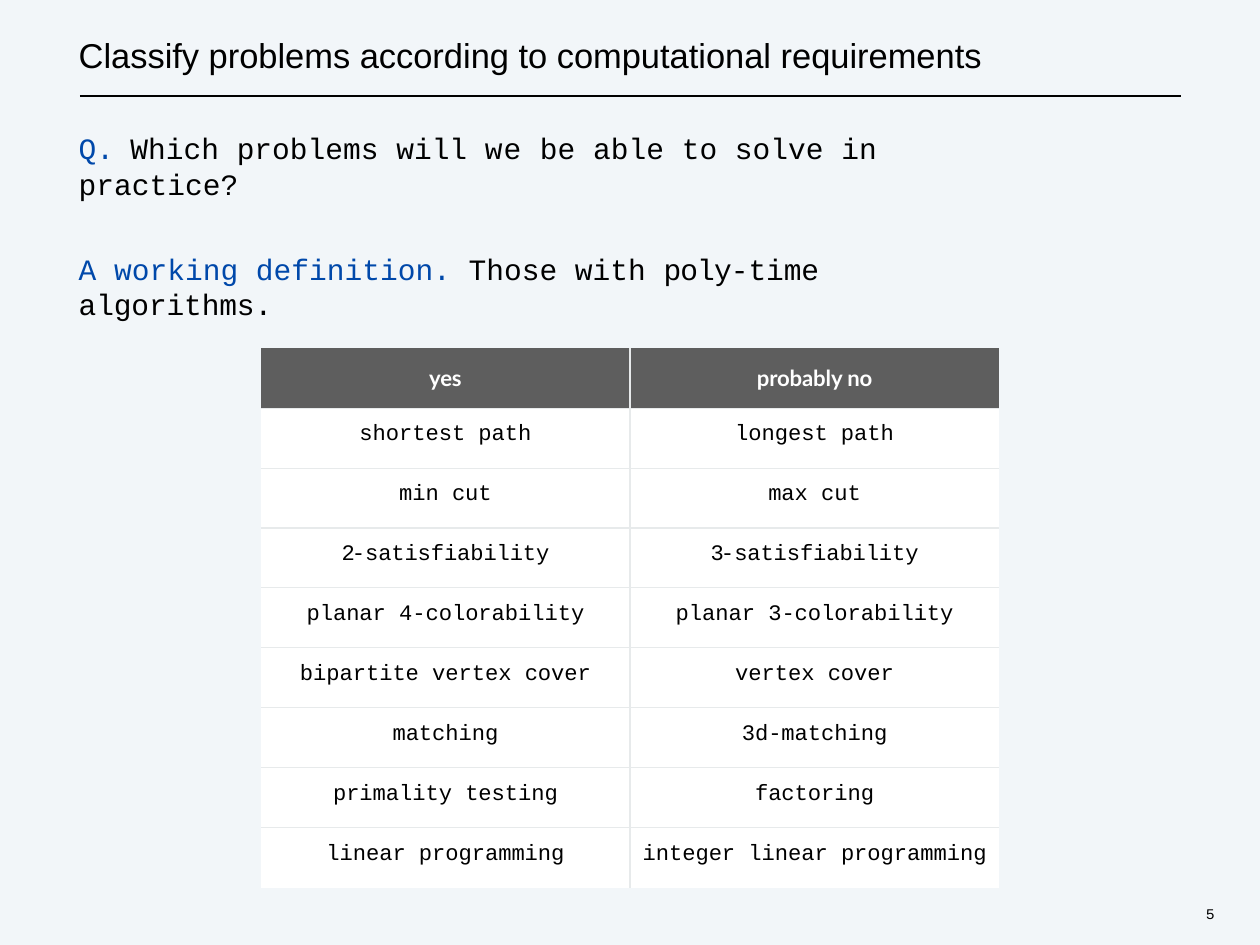
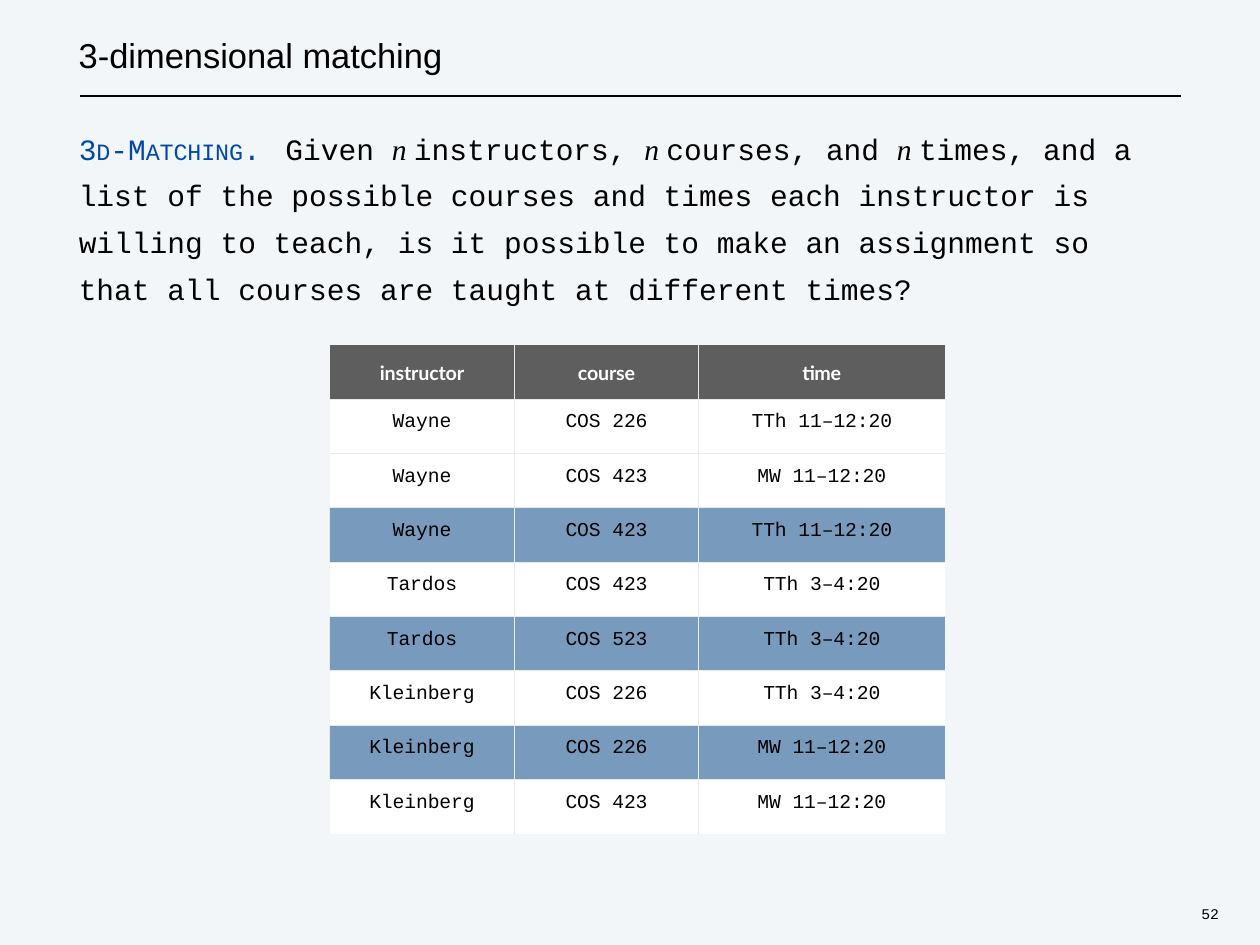
import pptx
import pptx.dml.color
import pptx.enum.shapes
import pptx.enum.text
import pptx.oxml.ns
import pptx.util
import lxml.etree

Pt = pptx.util.Pt
qn = pptx.oxml.ns.qn
ALIGN = pptx.enum.text.PP_ALIGN

WIDTH, HEIGHT = 1024, 768
PAPER, INK, ACCENT = "F2F6F9", "000000", "0048AA"
HEADER, CELL, CHOSEN, GRID, WHITE = "5E5E5E", "FFFFFF", "003F83", "E7EAEB", "FFFFFF"
SANS, MONO, SERIF, HEAD = "Arial", "Courier New", "Times New Roman", "Lato"


def color(value):
    return pptx.dml.color.RGBColor.from_string(value)


def fill_with(target, value):
    target.fill.solid()
    target.fill.fore_color.rgb = color(value)


def add_text(paragraph, text, size=24, ink=INK, font=MONO, bold=False, italic=False, spacing=0):
    run = paragraph.add_run()
    run.text = text
    run.font.size = Pt(size)
    run.font.name = font
    run.font.bold = bold
    run.font.italic = italic
    run.font.color.rgb = color(ink)
    if spacing:
        run.font._element.set("spc", str(round(spacing * 100)))


def add_box(slide, left, top, width, height):
    frame = slide.shapes.add_textbox(Pt(left), Pt(top), Pt(width), Pt(height)).text_frame
    frame.word_wrap = True
    frame.margin_left = frame.margin_right = frame.margin_top = frame.margin_bottom = 0
    return frame


def add_frame(deck, title, number):
    slide = deck.slides.add_slide(deck.slide_layouts[6])
    fill_with(slide.background, PAPER)
    rule = slide.shapes.add_connector(
        pptx.enum.shapes.MSO_CONNECTOR.STRAIGHT, Pt(65), Pt(78), Pt(960), Pt(78))
    rule.line.color.rgb = color(INK)
    rule.line.width = Pt(1.5)
    lxml.etree.SubElement(rule._element.spPr, qn("a:effectLst"))
    heading = add_box(slide, 64, 28, 759, 42)
    add_text(heading.paragraphs[0], title, size=28, font=SANS)
    folio = add_box(slide, 972, 735, 23, 17).paragraphs[0]
    folio.alignment = ALIGN.CENTER
    add_text(folio, number, size=12, spacing=-0.2)
    return slide


def add_statement(slide, box, paragraphs, tab, line_spacing=None, gap=0):
    frame = add_box(slide, *box)
    for index, runs in enumerate(paragraphs):
        paragraph = frame.add_paragraph() if index else frame.paragraphs[0]
        if index:
            paragraph.space_before = Pt(gap)
        if line_spacing:
            paragraph.line_spacing = line_spacing
        tabs = lxml.etree.SubElement(paragraph._p.get_or_add_pPr(), qn("a:tabLst"))
        lxml.etree.SubElement(tabs, qn("a:tab"), pos=str(Pt(tab)), algn="l")
        for text, style in runs:
            add_text(paragraph, text, **style)


def set_borders(cell, inner):
    properties = cell._tc.get_or_add_tcPr()
    for place, side in enumerate("LRTB"):
        line = lxml.etree.Element(qn("a:ln" + side), w=str(Pt(1)))
        properties.insert(place, line)
        if side in inner:
            paint = lxml.etree.SubElement(line, qn("a:solidFill"))
            lxml.etree.SubElement(paint, qn("a:srgbClr"), val=GRID)
        else:
            lxml.etree.SubElement(line, qn("a:noFill"))


def add_grid(slide, left, top, widths, row_height, rows, size, inset, chosen=()):
    last_row, last_column = len(rows) - 1, len(widths) - 1
    table = slide.shapes.add_table(
        len(rows), len(widths), Pt(left), Pt(top),
        Pt(sum(widths)), Pt(row_height * len(rows))).table
    table.horz_banding = False
    for column, width in zip(table.columns, widths):
        column.width = Pt(width)
    for r, entries in enumerate(rows):
        table.rows[r].height = Pt(row_height)
        for c, entry in enumerate(entries):
            cell = table.cell(r, c)
            cell.margin_left = cell.margin_right = cell.margin_bottom = 0
            cell.margin_top = Pt(inset if r else 13)
            fill_with(cell, HEADER if r == 0 else CHOSEN if r in chosen else CELL)
            if r in chosen:
                shade = cell._tc.tcPr.find(".//" + qn("a:srgbClr"))
                lxml.etree.SubElement(shade, qn("a:alpha"), val="50000")
            inner = {"L": c > 0, "R": c < last_column, "T": r > 0, "B": r < last_row}
            set_borders(cell, [side for side, shown in inner.items() if shown])
            paragraph = cell.text_frame.paragraphs[0]
            paragraph.alignment = ALIGN.CENTER
            if r == 0:
                add_text(paragraph, entry, size=size, ink=WHITE, font=HEAD, bold=True, spacing=-0.1)
            elif entry.endswith("-satisfiability"):
                add_text(paragraph, entry[:2], size=size, spacing=-2.4)
                add_text(paragraph, entry[2:], size=size, spacing=-0.1)
            else:
                add_text(paragraph, entry, size=size, spacing=-0.05)


def build_classification(deck):
    slide = add_frame(deck, "Classify problems according to computational requirements", "5")
    question = [
        ("Q.\t", dict(ink=ACCENT)),
        ("Which problems will ", {}),
        ("we", dict(spacing=0.8)),
        (" be able to solve in practice?", {}),
    ]
    definition = [
        ("A working definition. ", dict(ink=ACCENT)),
        ("Those with ", {}),
        ("poly-", dict(spacing=-0.7)),
        ("time algorithms.", dict(spacing=-0.1)),
    ]
    add_statement(slide, (64, 106, 651, 106), [question, definition], tab=42, gap=40)
    problems = [
        ("yes", "probably no"),
        ("shortest path", "longest path"),
        ("min cut", "max cut"),
        ("2-satisfiability", "3-satisfiability"),
        ("planar 4-colorability", "planar 3-colorability"),
        ("bipartite vertex cover", "vertex cover"),
        ("matching", "3d-matching"),
        ("primality testing", "factoring"),
        ("linear programming", "integer linear programming"),
    ]
    add_grid(slide, 212, 283, (300, 300), 48.7, problems, size=18, inset=11.5)


def build_matching(deck):
    slide = add_frame(deck, "3-dimensional matching", "52")
    small_caps = [
        ("3", dict(ink=ACCENT, spacing=-0.9)),
        ("D", dict(ink=ACCENT, size=19, spacing=-0.9)),
        ("-", dict(ink=ACCENT, spacing=-0.9)),
        ("M", dict(ink=ACCENT, spacing=-0.1)),
        ("ATCHING", dict(ink=ACCENT, size=19, spacing=-0.1)),
        (".\t", dict(ink=ACCENT, spacing=-0.1)),
    ]
    variable = ("n ", dict(font=SERIF, italic=True))
    problem = small_caps + [
        ("Given ", {}), variable,
        ("instructors, ", {}), variable,
        ("courses, and ", {}), variable,
        ("times, and a list of the possible courses and times each instructor is "
         "willing to teach, is it possible to make an assignment so that all courses "
         "are taught at different times?", {}),
    ]
    add_statement(slide, (64, 97, 877, 150), [problem], tab=168, line_spacing=1.32)
    offers = [
        ("instructor", "course", "time"),
        ("Wayne", "COS 226", "TTh 11–12:20"),
        ("Wayne", "COS 423", "MW 11–12:20"),
        ("Wayne", "COS 423", "TTh 11–12:20"),
        ("Tardos", "COS 423", "TTh 3–4:20"),
        ("Tardos", "COS 523", "TTh 3–4:20"),
        ("Kleinberg", "COS 226", "TTh 3–4:20"),
        ("Kleinberg", "COS 226", "MW 11–12:20"),
        ("Kleinberg", "COS 423", "MW 11–12:20"),
    ]
    add_grid(slide, 268, 280.3, (150, 150, 200), 44.15, offers, size=16, inset=10,
             chosen=(3, 5, 7))


def main():
    deck = pptx.Presentation()
    deck.slide_width, deck.slide_height = Pt(WIDTH), Pt(HEIGHT)
    build_classification(deck)
    build_matching(deck)
    deck.save("out.pptx")


if __name__ == "__main__":
    main()
